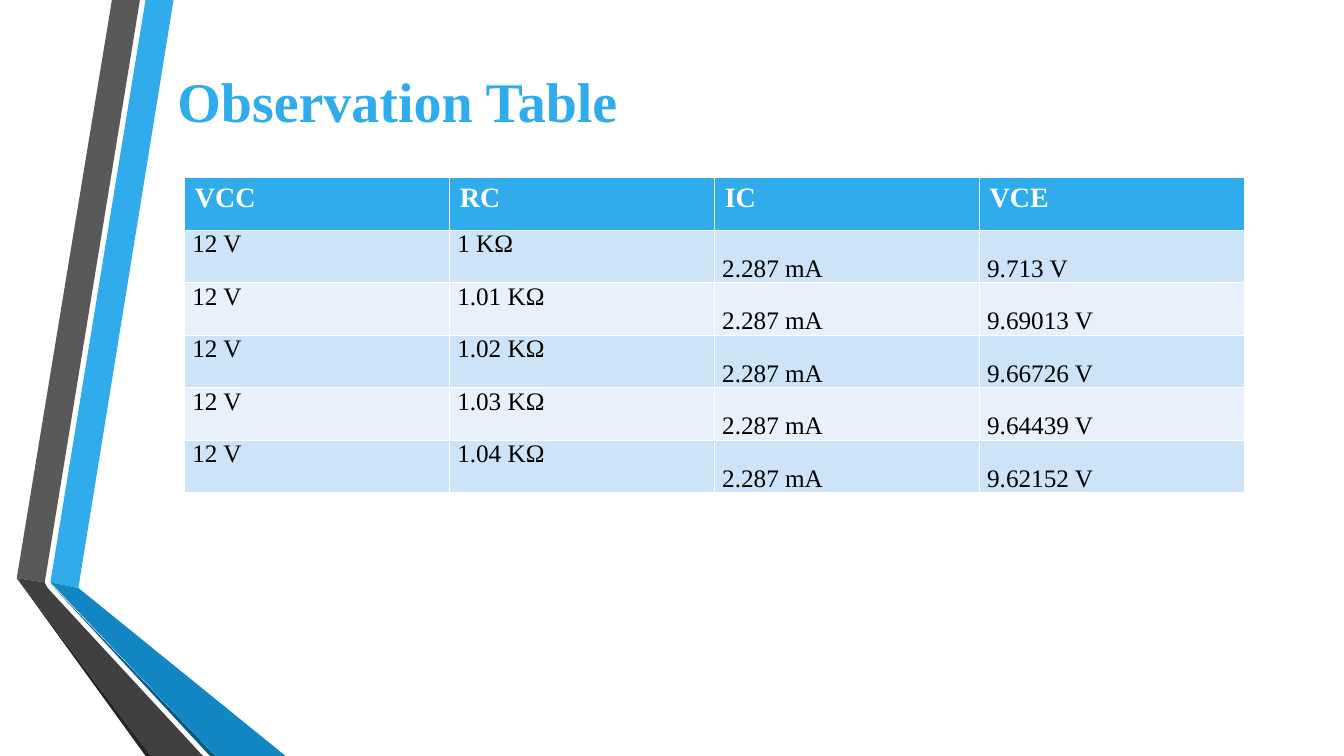
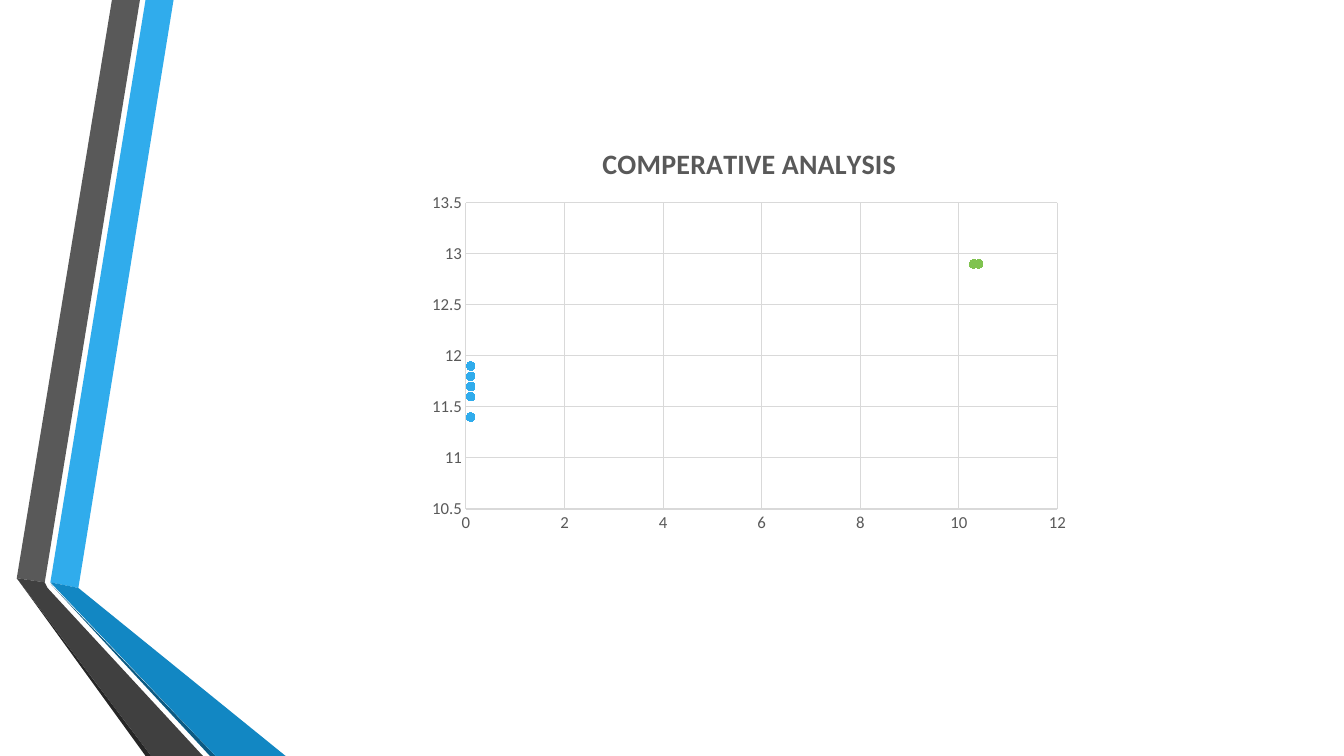
import pptx
import pptx.chart.data
import pptx.dml.color
import pptx.enum.chart
import pptx.enum.text
import pptx.oxml
import pptx.oxml.ns
import pptx.util

Pt = pptx.util.Pt

# Shared style
BLUE, GREEN = "30ACEC", "80C350"
WHITE, BLACK, GREY, GRID = "FFFFFF", "000000", "595959", "D9D9D9"
ROW_FILLS = ("CDE3F8", "E8F1FB")
SERIF, SANS = "Times New Roman", "Calibri"

# Folded ribbons at the left: colour and corners in points
BANDS = [
    (BLUE, [(36, 416), (55.5, 419.5), (124.5, 0), (104.5, 0)]),
    (GREY, [(100, 0), (80, 0), (11.75, 412.75), (31.75, 415.5)]),
    ("262626", [(11.75, 412.75), (104.5, 540), (108.5, 540)]),
    ("0C5A82", [(36, 417), (149.75, 540), (154, 540)]),
    ("1287C3", [(36, 416), (154, 540), (203.75, 540), (55.5, 419.5)]),
    ("404040", [(145.25, 540), (34.5, 419.5), (31.75, 415.5),
                (11.75, 412.75), (108.5, 540)]),
]

# Content
HEADERS = ["VCC", "RC", "IC", "VCE"]
READINGS = [
    ("12 V", "1 KΩ", "2.287 mA", "9.713 V"),
    ("12 V", "1.01 KΩ", "2.287 mA", "9.69013 V"),
    ("12 V", "1.02 KΩ", "2.287 mA", "9.66726 V"),
    ("12 V", "1.03 KΩ", "2.287 mA", "9.64439 V"),
    ("12 V", "1.04 KΩ", "2.287 mA", "9.62152 V"),
]
SERIES = [
    ("Series 1", GREEN, [(10.4, 12.9), (10.4, 12.9), (10.4, 12.9),
                         (10.3, 12.9), (10.3, 12.9)]),
    ("Series 2", BLUE, [(0.098, 11.9), (0.098, 11.8), (0.098, 11.7),
                        (0.097, 11.6), (0.096, 11.4)]),
]


def set_color(color_format, hex_color):
    color_format.rgb = pptx.dml.color.RGBColor.from_string(hex_color)


def set_fill(fill, hex_color):
    fill.solid()
    set_color(fill.fore_color, hex_color)


def set_font(font, name, size, hex_color, bold=False):
    font.name, font.size, font.bold = name, Pt(size), bold
    set_color(font.color, hex_color)


def add_bands(slide, master):
    """Draw the ribbons and move them to the back of the master."""
    for index, (hex_color, corners) in enumerate(BANDS):
        builder = slide.shapes.build_freeform(*corners[0], scale=Pt(1))
        builder.add_line_segments(corners[1:], close=True)
        shape = builder.convert_to_shape()
        shape.shadow.inherit = False
        set_fill(shape.fill, hex_color)
        shape.line.fill.background()
        shape.element.nvSpPr.cNvPr.set("id", str(100 + index))
        master.shapes.element.insert(2 + index, shape.element)


def set_title(slide, text, left, top, width, height):
    title = slide.shapes.title
    title.left, title.top = Pt(left), Pt(top)
    title.width, title.height = Pt(width), Pt(height)
    frame = title.text_frame
    frame.text = text
    frame.word_wrap = False
    frame.vertical_anchor = pptx.enum.text.MSO_ANCHOR.MIDDLE
    paragraph = frame.paragraphs[0]
    paragraph.alignment = pptx.enum.text.PP_ALIGN.LEFT
    set_font(paragraph.runs[0].font, SERIF, 40, BLUE, bold=True)


def format_body_cell(cell, column):
    cell.margin_left = cell.margin_right = Pt(5.4)
    cell.margin_top = cell.margin_bottom = 0
    anchors = pptx.enum.text.MSO_ANCHOR
    cell.vertical_anchor = anchors.TOP if column < 2 else anchors.BOTTOM
    cell.text_frame.paragraphs[0].alignment = pptx.enum.text.PP_ALIGN.JUSTIFY


def add_readings_table(slide, left, top, width, height):
    rows = [HEADERS, *READINGS]
    table = slide.shapes.add_table(len(rows), len(HEADERS), Pt(left), Pt(top),
                                   Pt(width), Pt(height)).table
    for row, texts in enumerate(rows):
        for column, text in enumerate(texts):
            cell = table.cell(row, column)
            cell.text = text
            font = cell.text_frame.paragraphs[0].runs[0].font
            if row == 0:
                set_fill(cell.fill, BLUE)
                set_font(font, SERIF, 20, WHITE, bold=True)
            else:
                set_fill(cell.fill, ROW_FILLS[(row - 1) % 2])
                set_font(font, SERIF, 18, BLACK)
                format_body_cell(cell, column)


def set_layout(element, position, **fractions):
    """Place a chart part by fractions of the chart's size."""
    for layout in element.findall(pptx.oxml.ns.qn("c:layout")):
        element.remove(layout)
    inner = '<c:layoutTarget val="inner"/>' if "w" in fractions else ""
    modes = '<c:xMode val="edge"/><c:yMode val="edge"/>'
    values = "".join(f'<c:{key} val="{value}"/>'
                     for key, value in fractions.items())
    element.insert(position, pptx.oxml.parse_xml(
        f'<c:layout {pptx.oxml.ns.nsdecls("c")}><c:manualLayout>'
        f'{inner}{modes}{values}</c:manualLayout></c:layout>'))


def format_axis(axis, minimum, maximum, step):
    axis.minimum_scale, axis.maximum_scale = minimum, maximum
    axis.major_unit = step
    axis.major_tick_mark = pptx.enum.chart.XL_TICK_MARK.NONE
    axis.minor_tick_mark = pptx.enum.chart.XL_TICK_MARK.NONE
    axis.format.line.fill.background()
    axis.has_major_gridlines = True
    grid_line = axis.major_gridlines.format.line
    grid_line.width = Pt(0.75)
    set_color(grid_line.color, GRID)
    axis.tick_labels.number_format = "General"
    axis.tick_labels.number_format_is_linked = False
    set_font(axis.tick_labels.font, SANS, 12, GREY)


def format_series(series, hex_color):
    series.format.line.fill.background()
    marker = series.marker
    marker.style = pptx.enum.chart.XL_MARKER_STYLE.CIRCLE
    marker.size = 6
    set_fill(marker.format.fill, hex_color)
    set_color(marker.format.line.color, hex_color)


def add_scatter_chart(slide, title, left, top, width, height):
    chart_data = pptx.chart.data.XyChartData()
    for name, _, points in SERIES:
        series_data = chart_data.add_series(name)
        for x, y in points:
            series_data.add_data_point(x, y)
    chart = slide.shapes.add_chart(
        pptx.enum.chart.XL_CHART_TYPE.XY_SCATTER, Pt(left), Pt(top),
        Pt(width), Pt(height), chart_data).chart
    set_font(chart.font, SANS, 10, BLACK)
    chart.has_legend = False

    # Title and plot area
    chart.has_title = True
    frame = chart.chart_title.text_frame
    frame.text = title
    set_font(frame.paragraphs[0].runs[0].font, SANS, 20, GREY, bold=True)
    chart_element = chart.element.find(pptx.oxml.ns.qn("c:chart"))
    set_layout(chart_element.find(pptx.oxml.ns.qn("c:title")), 1,
               x=0.27, y=0.05)
    set_layout(chart_element.find(pptx.oxml.ns.qn("c:plotArea")), 0,
               x=0.07, y=0.2, w=0.9, h=0.72)

    # Axes and points
    format_axis(chart.category_axis, 0, 12, 2)
    format_axis(chart.value_axis, 10.5, 13.5, 0.5)
    plot = chart.plots[0]
    plot.vary_by_categories = False
    for series, (_, hex_color, _) in zip(plot.series, SERIES):
        format_series(series, hex_color)


def main():
    presentation = pptx.Presentation()
    presentation.slide_width, presentation.slide_height = Pt(960), Pt(540)
    title_only, blank = (presentation.slide_layouts[i] for i in (5, 6))

    # Observation table
    slide = presentation.slides.add_slide(title_only)
    add_bands(slide, presentation.slide_master)
    set_title(slide, "Observation Table", 119.5, 44, 332, 55.5)
    add_readings_table(slide, 132, 127, 757, 225)

    # Scatter chart
    slide = presentation.slides.add_slide(blank)
    add_scatter_chart(slide, "COMPERATIVE ANALYSIS", 300, 84, 469.5, 304)

    presentation.save("out.pptx")


if __name__ == "__main__":
    main()
